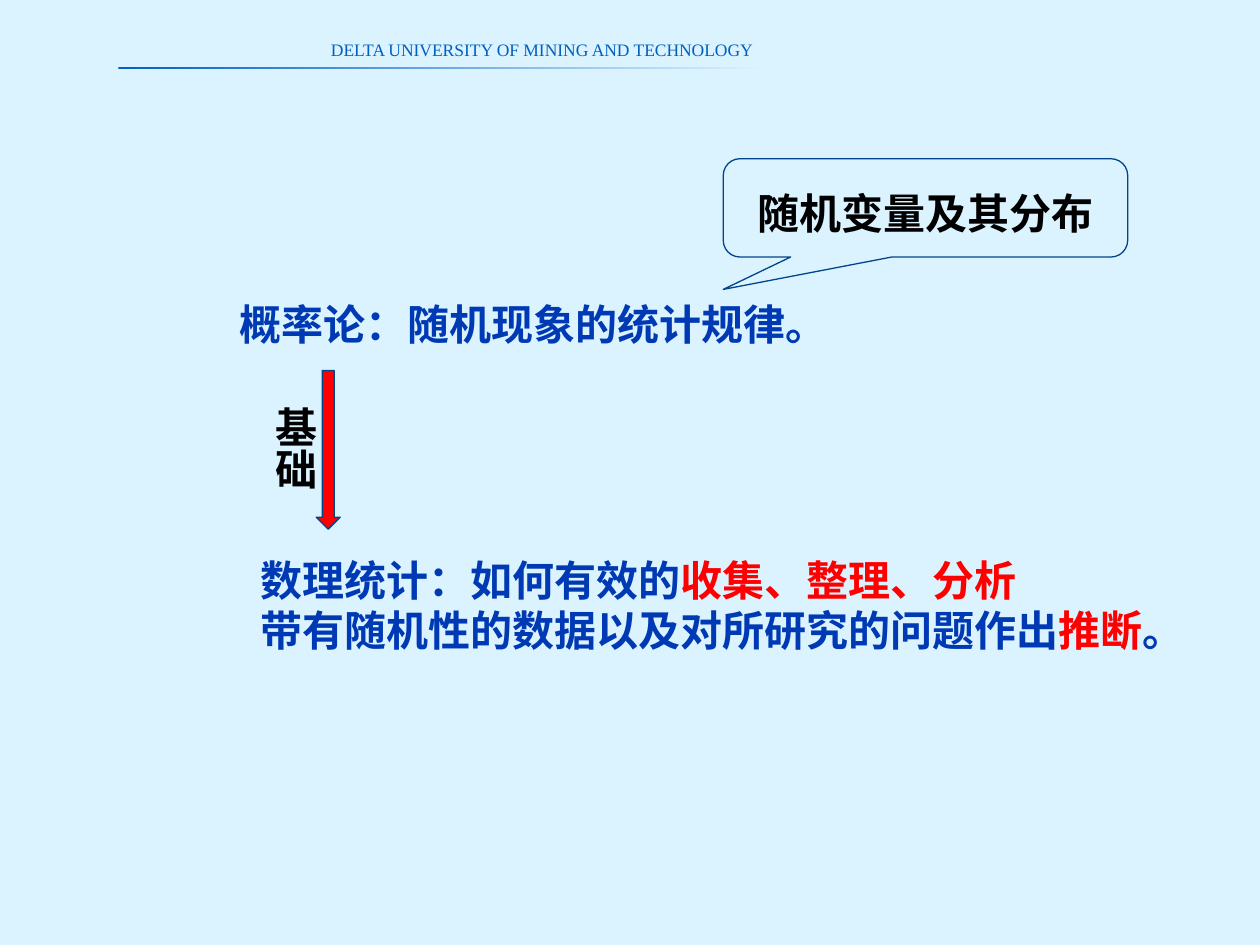
import pptx
import pptx.util
import pptx.dml.color
import pptx.enum.shapes
import pptx.enum.text
import pptx.oxml.ns
from lxml import etree

Inches, Pt = pptx.util.Inches, pptx.util.Pt
Shape = pptx.enum.shapes.MSO_SHAPE
Align = pptx.enum.text.PP_ALIGN
Fit = pptx.enum.text.MSO_AUTO_SIZE

# Content: lists of paragraphs, each a list of (text, colour) runs
SKY, NAVY, BLUE = "DBF2FF", "00458A", "0060C0"
INK, RED, BLACK = "0039B4", "FF0000", "000000"
HEAD = [[("DELTA UNIVERSITY OF MINING AND TECHNOLOGY", BLUE)]]
THEORY = [[("概率论：随机现象的统计规律。", INK)]]
STATS = [
    [("数理统计：如何有效的", INK), ("收集、整理、分析", RED)],
    [("带有随机性的数据以及对所研究的问题作出", INK), ("推断", RED), ("。", INK)],
]
BASIS = [[("基础", BLACK)]]
TOPIC = [[("随机变量及其分布", BLACK)]]


def color(code):
    return pptx.dml.color.RGBColor.from_string(code)


def write(shape, paras, size=24, font="Noto Sans CJK SC", bold=True,
          align=Align.LEFT, space=None, pads=(0.1, 0.05, 0.1, 0.05), fit=Fit.SHAPE_TO_FIT_TEXT):
    frame = shape.text_frame
    frame.word_wrap = True
    frame.auto_size = fit
    frame.vertical_anchor = pptx.enum.text.MSO_ANCHOR.TOP
    (frame.margin_left, frame.margin_top,
     frame.margin_right, frame.margin_bottom) = map(Inches, pads)
    for i, runs in enumerate(paras):
        para = frame.add_paragraph() if i else frame.paragraphs[0]
        para.alignment = align
        if space:
            para.line_spacing = space
        for text, code in runs:
            run = para.add_run()
            run.text = text
            run.font.size, run.font.bold, run.font.name = Pt(size), bold, font
            run.font.color.rgb = color(code)
            east = etree.SubElement(run.font._element, pptx.oxml.ns.qn("a:ea"))
            east.set("typeface", font)


def box(slide, place, paras, **form):
    shape = slide.shapes.add_textbox(*map(Inches, place))
    write(shape, paras, **form)
    return shape


def draw(slide, kind, place, fill=None, line=None):
    shape = slide.shapes.add_shape(kind, *map(Inches, place))
    shape.shadow.inherit = False
    if fill:
        shape.fill.solid()
        shape.fill.fore_color.rgb = color(fill)
    else:
        shape.fill.background()
    if line:
        shape.line.color.rgb = color(line)
        shape.line.width = Pt(0.75)
    else:
        shape.line.fill.background()
    return shape


def main():
    deck = pptx.Presentation()
    deck.slide_width, deck.slide_height = Inches(10), Inches(7.5)
    slide = deck.slides.add_slide(deck.slide_layouts[6])
    slide.background.fill.solid()
    slide.background.fill.fore_color.rgb = color(SKY)

    # Header with a rule that fades out
    rule = draw(slide, Shape.RECTANGLE, (0.94, 0.53, 5.12, 0.02))
    rule.fill.gradient()
    rule.fill.gradient_angle = 0
    for stop, code in zip(rule.fill.gradient_stops, (BLUE, SKY)):
        stop.color.rgb = color(code)
    box(slide, (2.48, 0.27, 3.64, 0.25), HEAD, size=10, bold=False,
        font="Times New Roman", align=Align.CENTER, pads=(0.09, 0.04, 0.09, 0.04))

    # Two statements
    box(slide, (1.05, 2.32, 6.61, 0.51), THEORY, align=Align.CENTER,
        pads=(0.1, 0.05, 0.34, 0.05))
    box(slide, (1.97, 4.35, 7.71, 0.91), STATS)

    # Arrow from theory to statistics, with its vertical label
    draw(slide, Shape.DOWN_ARROW, (2.51, 2.94, 0.19, 1.26), RED, NAVY)
    label = box(slide, (1.98, 3.13, 0.61, 0.88), BASIS, align=Align.CENTER)
    label.text_frame._txBody.bodyPr.set("vert", "eaVert")

    # Callout
    note = draw(slide, Shape.ROUNDED_RECTANGULAR_CALLOUT, (5.74, 1.26, 3.21, 0.78), line=NAVY)
    for i, value in enumerate((-0.5, 0.83, 0.17)):
        note.adjustments[i] = value
    write(note, TOPIC, align=Align.CENTER, space=1.35, fit=Fit.NONE)

    deck.save("out.pptx")


if __name__ == "__main__":
    main()
